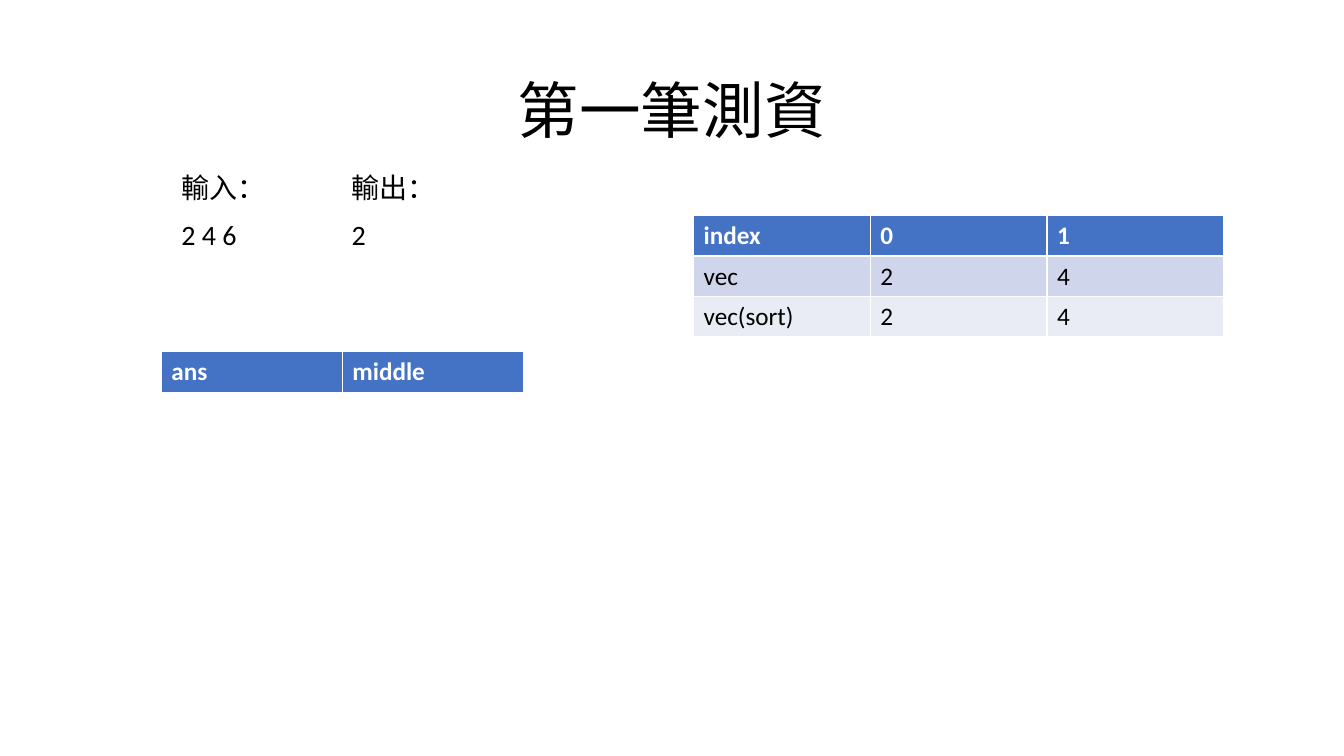
import pptx
import pptx.util
import pptx.dml.color
import pptx.enum.text

Pt = pptx.util.Pt
HEX = {"ink": "000000", "paper": "FFFFFF", "head": "4472C4",
       "odd": "CFD5EA", "even": "E9EBF5"}


def add_run(para, text, size, face="Calibri", tint="ink", bold=False):
    run = para.add_run()
    run.text = text
    run.font.size = Pt(size)
    run.font.name = face
    run.font.bold = bold
    run.font.color.rgb = pptx.dml.color.RGBColor.from_string(HEX[tint])


deck = pptx.Presentation()
deck.slide_width, deck.slide_height = Pt(960), Pt(540)
slide = deck.slides.add_slide(deck.slide_layouts[6])

# Title
title = slide.shapes.add_textbox(Pt(66), Pt(28.75), Pt(828), Pt(104.4)).text_frame
title.word_wrap = True
title.vertical_anchor = pptx.enum.text.MSO_ANCHOR.MIDDLE
para = title.paragraphs[0]
para.alignment = pptx.enum.text.PP_ALIGN.CENTER
para.line_spacing = 0.9
add_run(para, "第一筆測資", 44)

# Sample input and output
samples = [(122.4, 81.4, "輸入：", "2 4 6"), (244.1, 65.5, "輸出：", "2")]
for left, height, label, value in samples:
    frame = slide.shapes.add_textbox(Pt(left), Pt(118.1), Pt(121.7), Pt(height)).text_frame
    frame.word_wrap = True
    add_run(frame.paragraphs[0], label, 20, "Arial")
    para = frame.add_paragraph()
    para.space_before = Pt(10)
    add_run(para, value, 20)

# Tables: left, top, column width, row height, rows
tables = [
    (495.4, 154.1, 126.2, 28.8,
     [["index", "0", "1"], ["vec", "2", "4"], ["vec(sort)", "2", "4"]]),
    (115.2, 251.3, 129.3, 29.2, [["ans", "middle"]]),
]
for left, top, width, height, rows in tables:
    count = len(rows[0])
    grid = slide.shapes.add_table(len(rows), count, Pt(left), Pt(top),
                                  Pt(width * count), Pt(height * len(rows))).table
    for r, row in enumerate(rows):
        head = r == 0
        band = "head" if head else "odd" if r % 2 else "even"
        for c, text in enumerate(row):
            cell = grid.cell(r, c)
            cell.fill.solid()
            cell.fill.fore_color.rgb = pptx.dml.color.RGBColor.from_string(HEX[band])
            add_run(cell.text_frame.paragraphs[0], text, 18,
                    tint="paper" if head else "ink", bold=head)

deck.save("out.pptx")
